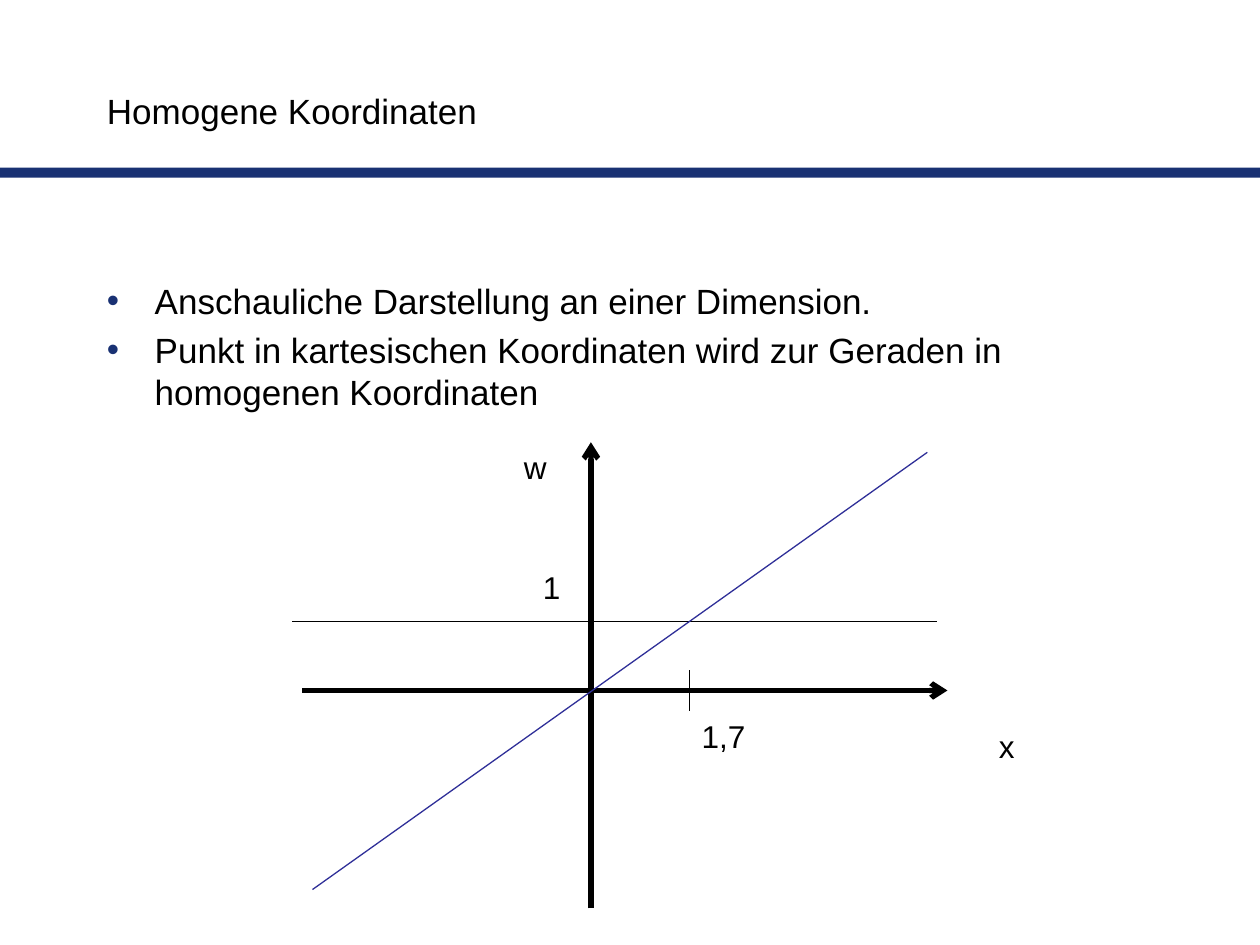
"""Build a slide that shows homogeneous coordinates for one dimension."""
from dataclasses import dataclass

from lxml.etree import SubElement
from pptx import Presentation
from pptx.dml.color import RGBColor
from pptx.enum.shapes import MSO_CONNECTOR, MSO_SHAPE
from pptx.enum.text import MSO_ANCHOR, MSO_AUTO_SIZE
from pptx.oxml.ns import qn
from pptx.util import Inches, Pt


@dataclass(frozen=True)
class Theme:
    font: str = "Arial"
    ink: str = "000000"
    accent: str = "193173"
    ray: str = "2F2F98"
    text_size: int = 20
    label_size: int = 18
    axis_width: float = 3
    thin_width: float = 0.75


theme = Theme()
presentation = Presentation()
presentation.slide_width = Inches(10)
presentation.slide_height = Inches(7.5)
column = presentation.slide_width / 100
row = presentation.slide_height / 75
slide = presentation.slides.add_slide(presentation.slide_layouts[6])


def add_text(left, top, width, height, lines, size, wrap=True):
    box = slide.shapes.add_textbox(
        int(left * column), int(top * row), int(width * column), int(height * row))
    frame = box.text_frame
    frame.text = "\n".join(lines)
    frame.word_wrap = wrap
    frame.auto_size = MSO_AUTO_SIZE.NONE if wrap else MSO_AUTO_SIZE.SHAPE_TO_FIT_TEXT
    for paragraph in frame.paragraphs:
        paragraph.font.name = theme.font
        paragraph.font.size = Pt(size)
        paragraph.font.color.rgb = RGBColor.from_string(theme.ink)
    return frame


def add_line(start, end, color, width, arrow=False):
    line = slide.shapes.add_connector(
        MSO_CONNECTOR.STRAIGHT, int(start[0] * column), int(start[1] * row),
        int(end[0] * column), int(end[1] * row))
    line.line.color.rgb = RGBColor.from_string(color)
    line.line.width = Pt(width)
    properties = line._element.spPr
    if arrow:
        SubElement(properties.find(qn("a:ln")), qn("a:tailEnd"), type="arrow")
    SubElement(properties, qn("a:effectLst"))


rule = slide.shapes.add_shape(
    MSO_SHAPE.RECTANGLE, 0, int(13.3 * row), presentation.slide_width, int(0.8 * row))
rule.shadow.inherit = False
rule.fill.solid()
rule.fill.fore_color.rgb = RGBColor.from_string(theme.accent)
rule.line.fill.background()

title = add_text(7.5, 6.7, 41.7, 4.2, ["Homogene Koordinaten"], theme.text_size)
title.vertical_anchor = MSO_ANCHOR.MIDDLE

body = add_text(7.5, 21.7, 85, 45, [
    "Anschauliche Darstellung an einer Dimension.",
    "Punkt in kartesischen Koordinaten wird zur Geraden in homogenen Koordinaten",
], theme.text_size)
indent = Inches(0.38)
for paragraph in body.paragraphs:
    paragraph.space_before = Pt(theme.text_size * 0.2)
    properties = paragraph._p.get_or_add_pPr()
    properties.set("marL", str(indent))
    properties.set("indent", str(-indent))
    bullet_color = SubElement(properties, qn("a:buClr"))
    SubElement(bullet_color, qn("a:srgbClr"), val=theme.accent)
    SubElement(properties, qn("a:buFont"), typeface=theme.font)
    SubElement(properties, qn("a:buChar"), char="•")

origin_x, origin_y = 46.9, 54.8
point_x, unit_y = 54.7, 49.3
tick = 1.6
add_line((24, origin_y), (75.2, origin_y), theme.ink, theme.axis_width, arrow=True)
add_line((origin_x, 72.1), (origin_x, 35.1), theme.ink, theme.axis_width, arrow=True)
add_line((23.2, unit_y), (74.4, unit_y), theme.ink, theme.thin_width)
add_line((24.8, 70.6), (73.6, 35.9), theme.ray, theme.thin_width)
add_line((point_x, origin_y - tick), (point_x, origin_y + tick), theme.ink, theme.thin_width)

for label, left, top, width in [
    ("x", 78.3, 57.2, 3.3),
    ("w", 40.6, 35.1, 3.8),
    ("1", 42.1, 44.6, 3.4),
    ("1,7", point_x, origin_y + tick, 5.5),
]:
    add_text(left, top, width, 4, [label], theme.label_size, wrap=False)

presentation.save("out.pptx")
